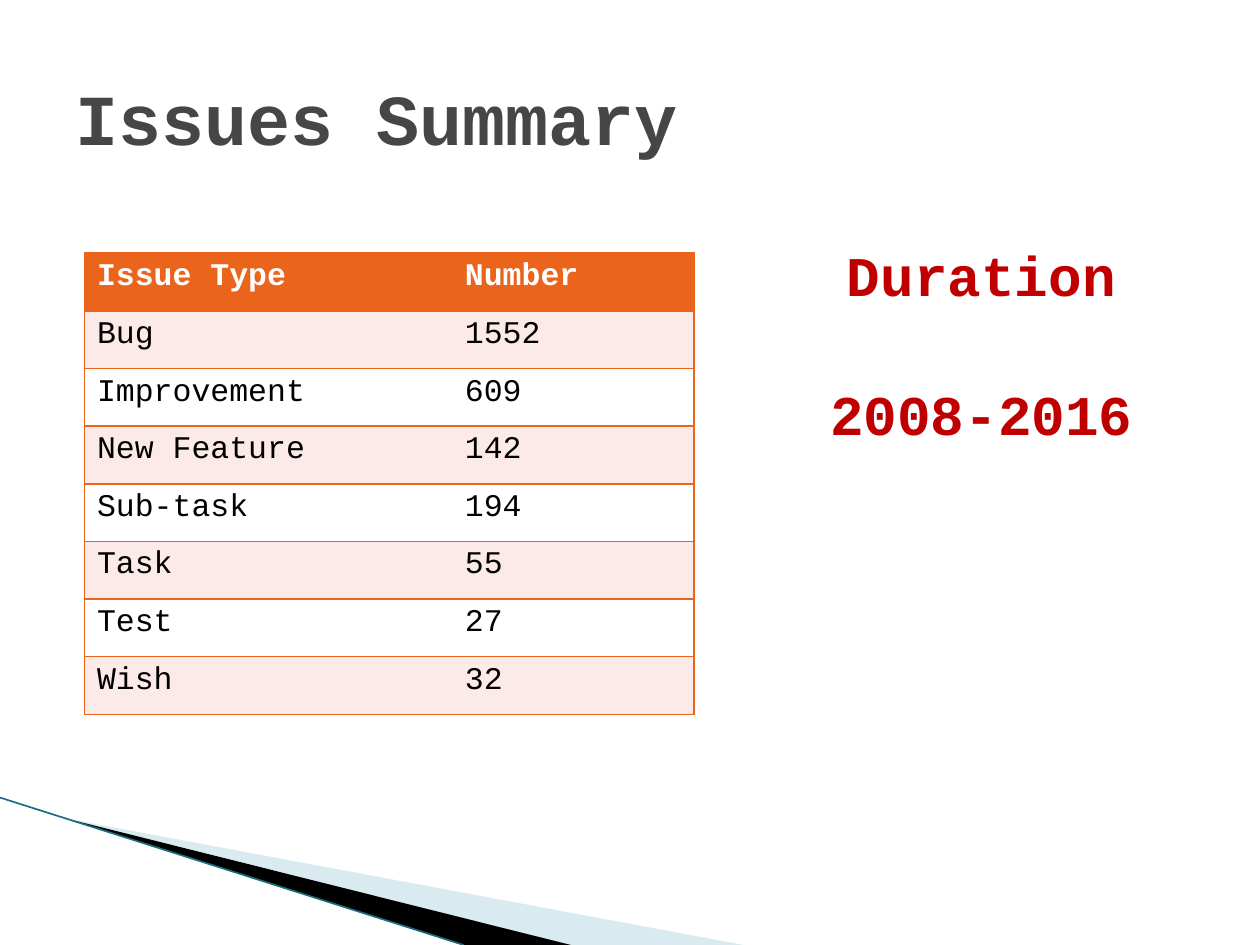
from lxml.etree import SubElement
from pptx import Presentation
from pptx.dml.color import RGBColor
from pptx.enum.text import MSO_ANCHOR, PP_ALIGN
from pptx.oxml import parse_xml
from pptx.oxml.ns import nsdecls, qn
from pptx.util import Inches, Pt

FONT = "Courier New"
ORANGE = "EB641B"
ISSUES = [
    ("Issue Type", "Number"),
    ("Bug", "1552"),
    ("Improvement", "609"),
    ("New Feature", "142"),
    ("Sub-task", "194"),
    ("Task", "55"),
    ("Test", "27"),
    ("Wish", "32"),
]


def rgb(color):
    """Turn a hex string into a colour."""
    return RGBColor.from_string(color)


def set_font(p, size, color, bold):
    """Set the font of a whole paragraph."""
    p.font.name, p.font.size, p.font.bold = FONT, Pt(size), bold
    p.font.color.rgb = rgb(color)


def add_text(s, box, lines, size, color, align=PP_ALIGN.LEFT, gap=0):
    """Place bold, vertically centred lines in a box."""
    tf = s.shapes.add_textbox(*map(Inches, box)).text_frame
    tf.word_wrap = True
    tf.vertical_anchor = MSO_ANCHOR.MIDDLE
    for i, line in enumerate(lines):
        p = tf.add_paragraph() if i else tf.paragraphs[0]
        p.text, p.alignment = line, align
        if i:
            p.space_before = Pt(gap)
        set_font(p, size, color, True)
    return tf


def add_wedge(s, points, color, alpha=None):
    """Draw a filled polygon without an outline."""
    start, *rest = [(Inches(x), Inches(y)) for x, y in points]
    builder = s.shapes.build_freeform(*start)
    builder.add_line_segments(rest, close=True)
    sp = builder.convert_to_shape()
    sp.shadow.inherit = False
    sp.fill.solid()
    sp.fill.fore_color.rgb = rgb(color)
    sp.line.fill.background()
    if alpha:
        clr = sp._element.spPr.find(".//" + qn("a:srgbClr"))
        SubElement(clr, qn("a:alpha"), val=str(alpha * 1000))


def add_corner(s, left, top, bottom):
    """Draw the swoosh in the bottom left corner."""
    tip = (left + 0.54, top + 0.17)
    add_wedge(s, [tip, (left + 5.9, bottom), (left + 4.53, bottom)], "A0CBDC", 40)
    add_wedge(s, [tip, (left + 4.53, bottom), (left + 3.68, bottom)], "000000")
    cn = s.shapes.add_connector(
        1, Inches(left), Inches(top), Inches(left + 3.68), Inches(bottom))
    cn.line.color.rgb = rgb("1A6E80")
    cn.line.width = Pt(0.95)
    SubElement(cn._element.spPr, qn("a:effectLst"))


def set_borders(cell, sides):
    """Draw thin orange lines on the given sides and none on the others."""
    tc_pr = cell._tc.get_or_add_tcPr()
    for i, side in enumerate("LRTB"):
        fill = (f'<a:solidFill><a:srgbClr val="{ORANGE}"/></a:solidFill>'
                if side in sides else "<a:noFill/>")
        tc_pr.insert(i, parse_xml(
            f'<a:ln{side} {nsdecls("a")} w="12700">{fill}</a:ln{side}>'))


def add_issue_table(s, left, top, width, height):
    """Place the table of issue counts."""
    table = s.shapes.add_table(
        len(ISSUES), 2, *map(Inches, (left, top, width, height))).table
    table.columns[0].width = Inches(2.92)
    table.columns[1].width = Inches(width - 2.92)
    for i, row in enumerate(ISSUES):
        table.rows[i].height = Inches(height / len(ISSUES))
        fill = ORANGE if i == 0 else ("FFFFFF", "FBEAE8")[i % 2]
        for j, value in enumerate(row):
            cell = table.cell(i, j)
            cell.text = value
            set_font(cell.text_frame.paragraphs[0], 18,
                     "000000" if i else "FFFFFF", i == 0)
            cell.fill.solid()
            cell.fill.fore_color.rgb = rgb(fill)
            set_borders(cell, ("LTB", "RTB")[j])


def main():
    """Build and save the slide."""
    prs = Presentation()
    prs.slide_width, prs.slide_height = Inches(10), Inches(7.5)
    s = prs.slides.add_slide(prs.slide_layouts[6])
    add_corner(s, 0, 6.33, 7.5)
    add_issue_table(s, 0.67, 2.01, 4.84, 3.66)
    add_text(s, (0.5, 0.3, 9, 1.25), ["Issues Summary"], 41, "464646")
    tf = add_text(s, (6.33, 1.83, 2.92, 1.67), ["Duration", "2008-2016"],
                  32, "C00000", PP_ALIGN.CENTER, 41)
    tf.margin_top = Inches(0.17)
    prs.save("out.pptx")


if __name__ == "__main__":
    main()
